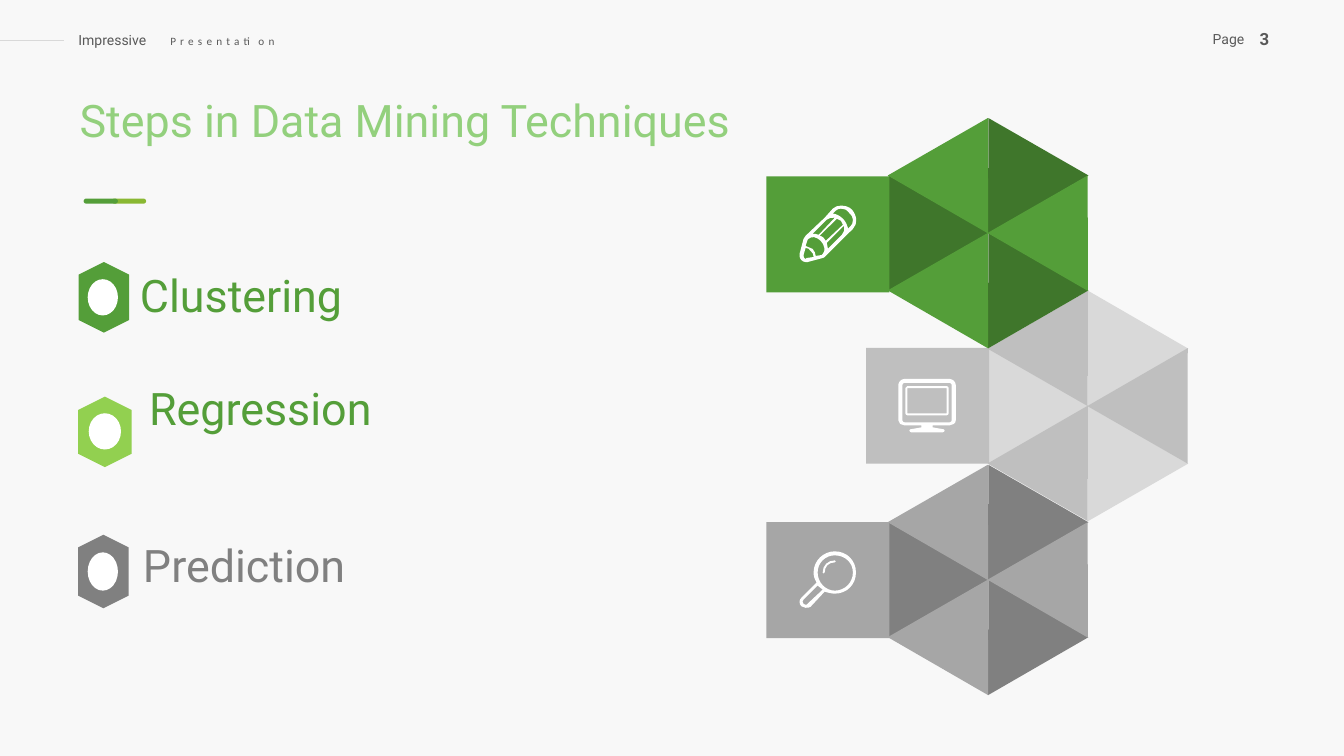
from lxml import etree
from pptx import Presentation
from pptx.dml.color import RGBColor as RGB
from pptx.enum.shapes import MSO_CONNECTOR as LINK, MSO_SHAPE as KIND
from pptx.enum.text import MSO_ANCHOR as ANCHOR, MSO_AUTO_SIZE as AUTO, PP_ALIGN as ALIGN
from pptx.oxml.ns import qn
from pptx.util import Inches, Pt

PAPER = RGB(0xF8, 0xF8, 0xF8)
WHITE = RGB(0xFF, 0xFF, 0xFF)
INK = RGB(0x59, 0x59, 0x59)
RULE = RGB(0xD9, 0xD9, 0xD9)
SILVER = RGB(0xBF, 0xBF, 0xBF)
ASH = RGB(0xA6, 0xA6, 0xA6)
GREY = RGB(0x80, 0x80, 0x80)
GREEN = RGB(0x54, 0x9E, 0x39)
FOREST = RGB(0x3F, 0x76, 0x2B)
LIME = RGB(0x8A, 0xB8, 0x33)
LEAF = RGB(0x92, 0xD0, 0x50)
MINT = RGB(0x93, 0xD0, 0x7D)

SCREEN = [
    "9.39 4.1 L 9 4.1 L 9 3.85 L 9.39 3.85",
    "9.39 3.83 L 9 3.83 C 8.99 3.83 8.98 3.84 8.98 3.85 L 8.98 4.1 C 8.98 4.11 8.99 4.12 9 4.12 "
    "L 9.39 4.12 C 9.4 4.12 9.41 4.11 9.41 4.1 L 9.41 3.85 C 9.41 3.84 9.4 3.83 9.39 3.83",
]
MONITOR = [
    "9.44 4.17 C 9.44 4.18 9.43 4.19 9.42 4.19 L 8.97 4.19 C 8.96 4.19 8.95 4.18 8.95 4.17 "
    "L 8.95 3.82 C 8.95 3.81 8.96 3.8 8.97 3.8 L 9.42 3.8 C 9.43 3.8 9.44 3.81 9.44 3.82",
    "9.42 3.76 L 8.97 3.76 C 8.94 3.76 8.91 3.79 8.91 3.82 L 8.91 4.17 C 8.91 4.2 8.94 4.22 8.97 4.22 "
    "L 9.14 4.22 L 9.14 4.24 L 9.03 4.26 C 9.02 4.26 9.02 4.27 9.02 4.27 C 9.02 4.28 9.03 4.29 9.04 4.29 "
    "L 9.35 4.29 C 9.36 4.29 9.37 4.28 9.37 4.27 C 9.37 4.27 9.37 4.26 9.36 4.26 L 9.25 4.24 L 9.25 4.22 "
    "L 9.42 4.22 C 9.45 4.22 9.48 4.2 9.48 4.17 L 9.48 3.82 C 9.48 3.79 9.45 3.76 9.42 3.76",
]
PENCIL = [
    "8.44 2.24 L 8.41 2.27 L 8.41 2.26 C 8.4 2.23 8.39 2.2 8.36 2.17 C 8.33 2.14 8.29 2.12 8.26 2.12 "
    "L 8.29 2.09 C 8.3 2.08 8.32 2.07 8.34 2.07 C 8.37 2.07 8.4 2.08 8.42 2.11 "
    "C 8.44 2.13 8.46 2.15 8.46 2.18 C 8.46 2.21 8.45 2.23 8.44 2.24",
    "8.09 2.54 C 8.09 2.52 8.08 2.49 8.06 2.47 C 8.04 2.46 8.01 2.45 7.99 2.44 L 8.01 2.38 "
    "C 8.01 2.38 8.01 2.37 8.02 2.37 C 8.05 2.34 8.1 2.35 8.14 2.39 C 8.18 2.43 8.19 2.49 8.16 2.52 L 8.15 2.53",
    "8 2.56 C 8 2.56 8 2.57 7.99 2.57 C 7.98 2.57 7.97 2.55 7.97 2.54 L 7.97 2.53 L 7.99 2.46 "
    "C 8.01 2.46 8.03 2.47 8.04 2.49 C 8.06 2.5 8.07 2.53 8.07 2.55",
    "8.12 2.33 C 8.1 2.32 8.08 2.32 8.06 2.32 L 8.2 2.18 C 8.22 2.16 8.25 2.16 8.28 2.16",
    "8.19 2.39 C 8.18 2.38 8.18 2.37 8.17 2.36 C 8.16 2.35 8.14 2.34 8.13 2.34 L 8.3 2.17 "
    "C 8.31 2.18 8.33 2.18 8.34 2.19 C 8.35 2.2 8.35 2.21 8.36 2.23",
    "8.21 2.46 C 8.21 2.44 8.21 2.43 8.2 2.41 L 8.37 2.24 C 8.38 2.28 8.37 2.31 8.35 2.33 L 8.21 2.47",
    "8.45 2.08 C 8.42 2.05 8.38 2.04 8.34 2.04 C 8.31 2.04 8.28 2.05 8.26 2.07 L 8.18 2.16 L 7.99 2.34 "
    "C 7.98 2.35 7.98 2.36 7.97 2.37 L 7.93 2.52 C 7.93 2.52 7.93 2.53 7.93 2.54 "
    "C 7.93 2.57 7.96 2.6 7.99 2.6 C 8 2.6 8.01 2.6 8.01 2.6 L 8.16 2.56 C 8.17 2.56 8.18 2.55 8.19 2.54 "
    "L 8.46 2.27 C 8.51 2.22 8.5 2.14 8.45 2.08",
]
LENS = [
    "8.28 5.86 C 8.19 5.86 8.11 5.78 8.11 5.68 C 8.11 5.58 8.19 5.51 8.28 5.51 "
    "C 8.38 5.51 8.46 5.58 8.46 5.68 C 8.46 5.78 8.38 5.86 8.28 5.86",
    "8.01 5.99 C 8.01 6 8 6 7.99 6 C 7.98 6 7.96 5.99 7.96 5.97 C 7.96 5.96 7.97 5.96 7.97 5.95 "
    "L 8.11 5.81 C 8.13 5.82 8.14 5.84 8.16 5.85",
    "8.28 5.47 C 8.17 5.47 8.07 5.56 8.07 5.68 C 8.07 5.72 8.08 5.75 8.1 5.78 L 7.95 5.93 "
    "C 7.94 5.94 7.93 5.95 7.93 5.97 C 7.93 6.01 7.96 6.03 7.99 6.03 C 8.01 6.03 8.03 6.03 8.04 6.02 "
    "L 8.18 5.87 C 8.21 5.88 8.25 5.89 8.28 5.89 C 8.4 5.89 8.49 5.8 8.49 5.68 C 8.49 5.56 8.4 5.47 8.28 5.47",
]
GLINT = [
    "8.28 5.56 C 8.21 5.56 8.16 5.61 8.16 5.68 C 8.16 5.69 8.16 5.69 8.17 5.69 C 8.17 5.69 8.18 5.69 8.18 5.68 "
    "C 8.18 5.62 8.22 5.58 8.28 5.58 C 8.29 5.58 8.29 5.57 8.29 5.57 C 8.29 5.56 8.29 5.56 8.28 5.56",
]

deck = Presentation()
deck.slide_width, deck.slide_height = Inches(13.33), Inches(7.5)
slide = deck.slides.add_slide(deck.slide_layouts[5])
slide.background.fill.solid()
slide.background.fill.fore_color.rgb = PAPER
shapes = slide.shapes


def write(text, x, y, w, h, size=32, color=INK, face="Roboto", bold=False, wrap=True,
          align=ALIGN.LEFT, anchor=ANCHOR.TOP, space=0, box=None):
    box = box or shapes.add_textbox(0, 0, 0, 0)
    box.left, box.top, box.width, box.height = map(Inches, (x, y, w, h))
    frame = box.text_frame
    frame.word_wrap, frame.auto_size = wrap, AUTO.SHAPE_TO_FIT_TEXT
    frame.vertical_anchor = anchor
    par = frame.paragraphs[0]
    par.alignment = align
    run = par.add_run()
    run.text = text
    font = run.font
    font.name, font.size, font.bold = face, Pt(size), bold
    font.color.rgb = color
    if space:
        run._r.get_or_add_rPr().set("spc", str(space * 100))
    return font


def form(kind, x, y, w, h, color, turn=0):
    item = shapes.add_shape(kind, *map(Inches, (x, y, w, h)))
    item.shadow.inherit = False
    item.fill.solid()
    item.fill.fore_color.rgb = color
    item.line.fill.background()
    item.rotation = turn
    return item


write("Impressive", 0.68, 0.26, 0.92, 0.27, size=10, wrap=False)
write("Presentation", 1.59, 0.29, 1.28, 0.24, size=8, face="Calibri", wrap=False, space=3)
rule = shapes.add_connector(LINK.STRAIGHT, Inches(0.63), Inches(0.4), 0, Inches(0.4))
rule.line.color.rgb, rule.line.width = RULE, Pt(1)
etree.SubElement(rule._element.spPr, qn("a:effectLst"))
write("Page", 11.93, 0.25, 0.54, 0.27, size=10, wrap=False)
write("3", 12.2, 0.24, 0.68, 0.3, size=12, bold=True, align=ALIGN.CENTER)

W, H = 1.15, 0.99
for x, y, top, color, turn, tint, tilt, icons in [
    (10.79, 4.17, 3.45, RULE, 210, SILVER, 150, [SCREEN, MONITOR]),
    (9.8, 2.17, 1.75, FOREST, 330, GREEN, 30, [PENCIL]),
    (9.8, 5.61, 5.18, GREY, 330, ASH, 30, [LENS, GLINT]),
]:
    for sign, shade, angle in [(1, color, turn), (-1, tint, tilt)]:
        for dx, dy in [(0.25, 0.57), (0.25, -0.57), (-0.74, 0)]:
            form(KIND.ISOSCELES_TRIANGLE, x + sign * dx - W / 2, y + dy - H / 2, W, H, shade, angle)
    form(KIND.RECTANGLE, x - 2.2, top, 1.22, W, tint)
    for icon in icons:
        pen, counts = None, []
        for loop in icon:
            first, *parts = loop.replace("C", "L").split(" L ")
            start = tuple(map(Inches, map(float, first.split())))
            dots = []
            for part in parts:
                nums = [Inches(float(num)) for num in part.split()]
                ends = list(zip(nums[::2], nums[1::2]))
                counts.append(len(ends))
                dots += ends
            if pen:
                pen.move_to(*start)
            else:
                pen = shapes.build_freeform(*start)
            pen.add_line_segments(dots, close=True)
        mark = pen.convert_to_shape()
        mark.shadow.inherit = False
        mark.fill.solid()
        mark.fill.fore_color.rgb = WHITE
        mark.line.fill.background()
        lines = iter(list(mark._element.iter(qn("a:lnTo"))))
        for count in counts:
            curve, *rest = [next(lines) for _ in range(count)]
            if rest:
                curve.tag = qn("a:cubicBezTo")
            for line in rest:
                curve.append(line[0])
                line.getparent().remove(line)

font = write("Steps in Data Mining Techniques", 0.69, 0.87, 7.24, 0.64, color=MINT,
             anchor=ANCHOR.MIDDLE, box=shapes.title)
font.fill.gradient()
font.fill.gradient_angle = 315
for stop, color in zip(font.fill.gradient_stops, [MINT, LIME]):
    stop.color.rgb = color

for x, color in [(1.11, LIME), (0.83, GREEN)]:
    form(KIND.ROUNDED_RECTANGLE, x, 1.97, 0.34, 0.05, color).adjustments[0] = 0.5

for text, x, y, w, color, ink, hexa, oval in [
    ("Clustering", 1.29, 2.61, 4.43, GREEN, GREEN, (0.68, 2.7, 0.7, 0.5), (0.87, 2.77, 0.3, 0.36)),
    ("Regression", 1.38, 3.73, 4.63, LEAF, GREEN, (0.69, 4.02, 0.7, 0.53), (0.88, 4.1, 0.32, 0.36)),
    ("Prediction", 1.32, 5.29, 4.4, GREY, GREY, (0.66, 5.42, 0.73, 0.5), (0.87, 5.48, 0.3, 0.38)),
]:
    form(KIND.HEXAGON, *hexa, color, 90)
    form(KIND.OVAL, *oval, WHITE)
    write(text, x, y, w, 0.64, color=ink)

deck.save("out.pptx")
